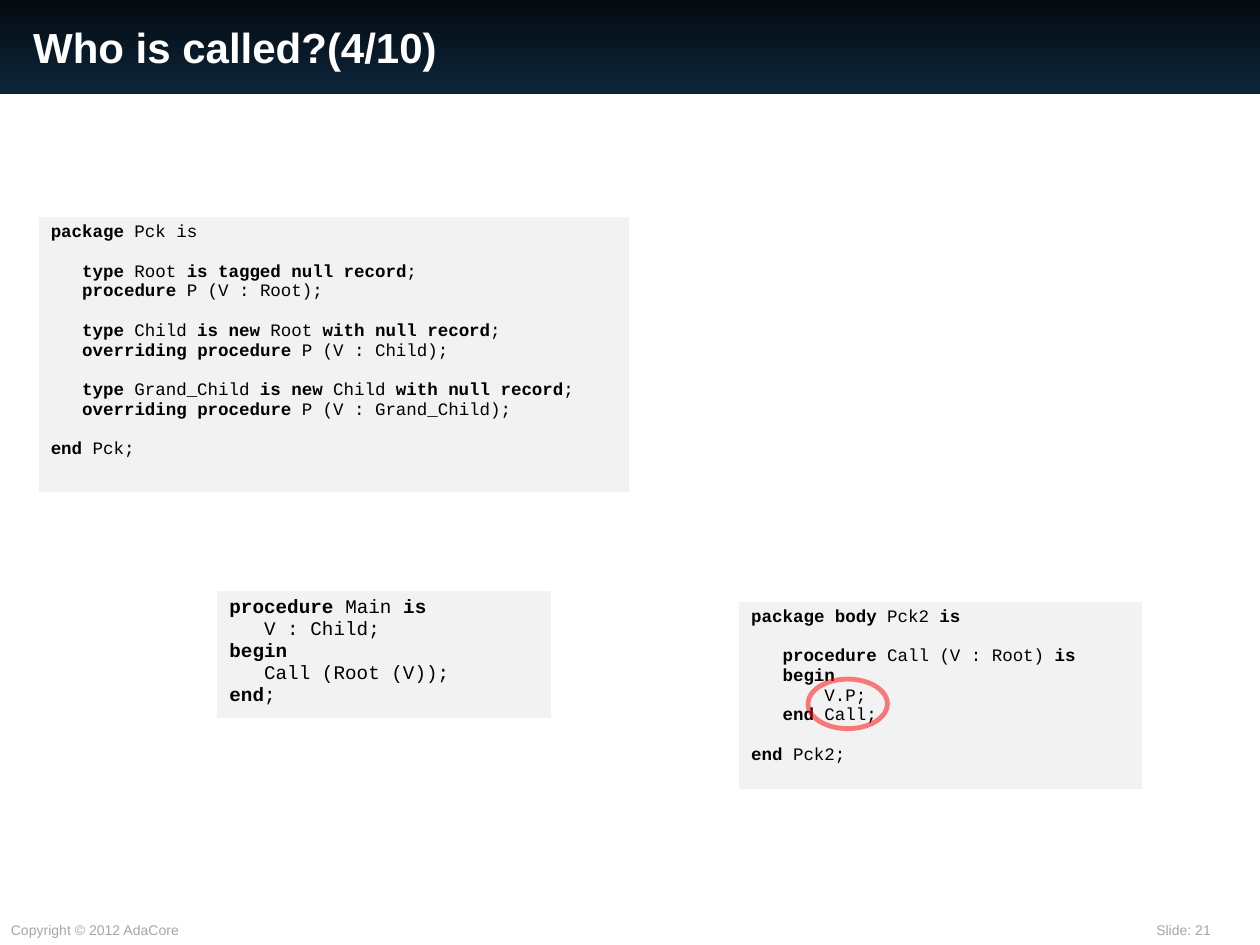
from lxml.etree import SubElement as Sub
from pptx import Presentation
from pptx.dml.color import RGBColor
from pptx.enum.shapes import MSO_SHAPE as Shape
from pptx.enum.text import MSO_ANCHOR as Anchor
from pptx.oxml import parse_xml
from pptx.oxml.ns import nsdecls, qn
from pptx.util import Cm, Pt

WHITE = RGBColor(0xFF, 0xFF, 0xFF)
BLACK = RGBColor(0x00, 0x00, 0x00)
GREY = RGBColor(0xA6, 0xA6, 0xA6)
PALE = RGBColor(0xF2, 0xF2, 0xF2)
RED = RGBColor(0xFF, 0x00, 0x00)
NIGHT = RGBColor(0x04, 0x0B, 0x11)
NAVY = RGBColor(0x0D, 0x25, 0x3A)

TITLE = {"name": "Arial", "size": Pt(24), "bold": True}
NOTE = {"name": "Arial", "size": Pt(8), "bold": False}
LEAD = 1.13
EDGES = {"lnL": 0.45, "lnR": 0.45, "lnT": 0.45, "lnB": 1.47}

ROOT = """*package* Pck is

   *type* Root *is tagged null record*;
   *procedure* P (V : Root);

   *type* Child *is new* Root *with null record*;
   *overriding procedure* P (V : Child);

   *type* Grand_Child *is new* Child *with null record*;
   *overriding procedure* P (V : Grand_Child);

*end* Pck;"""

BODY = """*package body* Pck2 *is*

   *procedure* Call (V : Root) *is*
   *begin*
       V.P;
   *end* Call;

*end* Pck2;"""

MAIN = """*procedure* Main *is*
   V : Child;
*begin*
   Call (Root (V));
*end*;"""


def style(font, look, color):
    for key, value in look.items():
        setattr(font, key, value)
    font.color.rgb = color


def label(slide, box, text, look, color, wrap=True):
    frame = slide.shapes.add_textbox(*map(Cm, box)).text_frame
    frame.word_wrap = wrap
    frame.vertical_anchor = Anchor.MIDDLE
    run = frame.paragraphs[0].add_run()
    run.text = text
    style(run.font, look, color)


def header(slide, box, text):
    x, y, w, h = box
    band = slide.shapes.add_shape(Shape.RECTANGLE, *map(Cm, box))
    band.shadow.inherit = False
    band.line.fill.background()
    band.fill.gradient()
    band.fill.gradient_angle = 270
    for stop, color, place in zip(band.fill.gradient_stops, (NIGHT, NAVY), (0, 1)):
        stop.color.rgb = color
        stop.position = place
    label(slide, (x + 0.45, y + 0.2, w - 3.2, h - 0.43), text, TITLE, WHITE)


def footer(slide, box, left, right):
    x, y, w, h = box
    label(slide, (x, y, 4, h), left, NOTE, GREY, False)
    label(slide, (x + w - 2.31, y, 2.31, h), right, NOTE, GREY)


def border(cell):
    props = cell._tc.get_or_add_tcPr()
    for spot, (tag, width) in enumerate(EDGES.items()):
        edge = parse_xml(
            f'<a:{tag} {nsdecls("a")} w="{Pt(width)}"><a:solidFill>'
            f'<a:srgbClr val="{WHITE}"/></a:solidFill></a:{tag}>'
        )
        props.insert(spot, edge)


def code(slide, box, text, size):
    table = slide.shapes.add_table(1, 1, *map(Cm, box)).table
    table.first_row = table.horz_banding = False
    cell = table.cell(0, 0)
    cell.fill.solid()
    cell.fill.fore_color.rgb = PALE
    border(cell)
    frame = cell.text_frame
    para, gap = frame.paragraphs[0], 0
    for row, line in enumerate(text.split("\n")):
        if not line:
            gap = Pt(size * LEAD)
            continue
        if row:
            para = frame.add_paragraph()
        if gap:
            para.space_before, gap = gap, 0
        for part, words in enumerate(line.split("*")):
            if words:
                run = para.add_run()
                run.text = words
                look = {"name": "Courier New", "size": Pt(size), "bold": part % 2 == 1}
                style(run.font, look, BLACK)


def ring(slide, box):
    oval = slide.shapes.add_shape(Shape.OVAL, *map(Cm, box))
    oval.shadow.inherit = False
    oval.fill.background()
    oval.line.width = Pt(2.75)
    oval.line.color.rgb = RED
    tint = oval.line._ln.find(".//" + qn("a:srgbClr"))
    Sub(tint, qn("a:alpha"), val="49000")


def marked(slide, box, text, size):
    x, y, w, h = box
    code(slide, box, text, size)
    ring(slide, (x + 1.4, y + 1.57, 1.6, 1))


def main():
    deck = Presentation()
    deck.slide_width, deck.slide_height = Cm(25.4), Cm(19.05)
    slide = deck.slides.add_slide(deck.slide_layouts[6])
    footer(slide, (-0.03, 18.44, 25.4, 0.61), "Copyright © 2012 AdaCore", "Slide: 21")
    header(slide, (-0.03, 0, 25.43, 1.9), "Who is called?(4/10)")
    code(slide, (0.77, 4.37, 11.91, 5.58), ROOT, 10)
    code(slide, (4.37, 11.91, 6.75, 2.58), MAIN, 11)
    marked(slide, (14.89, 12.12, 8.13, 3.8), BODY, 10)
    deck.save("out.pptx")


if __name__ == "__main__":
    main()
